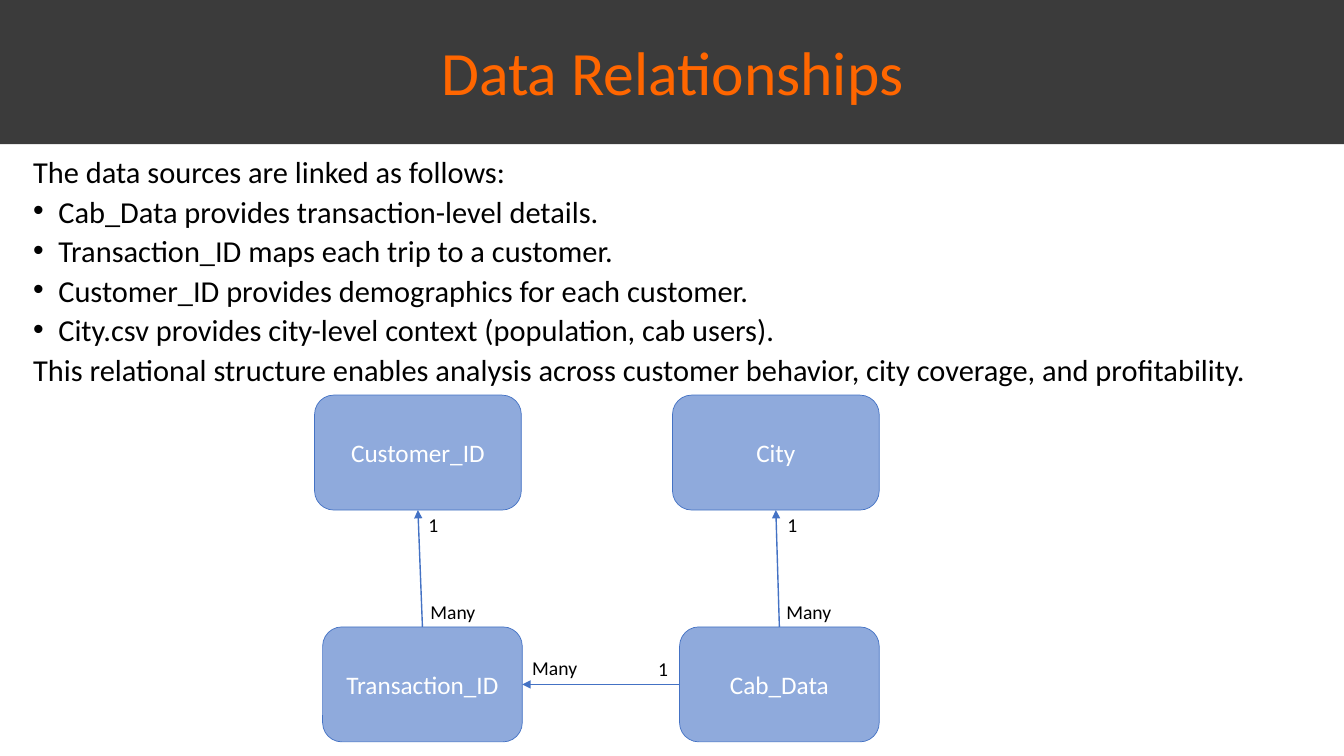
from typing import NamedTuple

from lxml.etree import SubElement
from pptx import Presentation
from pptx.dml.color import RGBColor
from pptx.enum.shapes import MSO_CONNECTOR, MSO_SHAPE
from pptx.enum.text import MSO_ANCHOR, PP_ALIGN
from pptx.oxml.ns import qn
from pptx.util import Inches, Pt

FONT = "Calibri"
COLORS = {
    "banner": "3B3B3B",
    "title": "FF6600",
    "text": "000000",
    "entity": "8FAADC",
    "line": "4472C4",
    "entity_text": "FFFFFF",
}
ENTITY_HEIGHT = 1.14
TOP, LEFT, BOTTOM, RIGHT = range(4)  # connection sites of a box


class Entity(NamedTuple):
    name: str
    left: float
    top: float
    width: float


class Link(NamedTuple):
    source: str
    source_site: int
    target: str
    target_site: int


class Label(NamedTuple):
    text: str
    left: float
    top: float


class BodyLine(NamedTuple):
    text: str
    bulleted: bool = False


ENTITIES = [
    Entity("Customer_ID", 3.12, 3.92, 2.05),
    Entity("City", 6.67, 3.92, 2.05),
    Entity("Transaction_ID", 3.2, 6.22, 1.98),
    Entity("Cab_Data", 6.74, 6.22, 1.98),
]
LINKS = [
    Link("Transaction_ID", TOP, "Customer_ID", BOTTOM),
    Link("Cab_Data", LEFT, "Transaction_ID", RIGHT),
    Link("Cab_Data", TOP, "City", BOTTOM),
]
LABELS = [
    Label("Many", 4.17, 5.9),
    Label("1", 4.15, 5.04),
    Label("Many", 5.18, 6.46),
    Label("1", 6.43, 6.47),
    Label("Many", 7.7, 5.9),
    Label("1", 7.71, 5.04),
]
BODY = [
    BodyLine("The data sources are linked as follows:"),
    BodyLine("Cab_Data provides transaction-level details.", True),
    BodyLine("Transaction_ID maps each trip to a customer.", True),
    BodyLine("Customer_ID provides demographics for each customer.", True),
    BodyLine("City.csv provides city-level context (population, cab users).", True),
    BodyLine("This relational structure enables analysis across customer behavior, "
             "city coverage, and profitability."),
]


def color(name: str) -> RGBColor:
    return RGBColor.from_string(COLORS[name])


def format_para(para, size: float, color_name: str, align=PP_ALIGN.LEFT) -> None:
    para.alignment = align
    for span in para.runs:
        span.font.name = FONT
        span.font.size = Pt(size)
        span.font.color.rgb = color(color_name)


def add_text(page, text: str, left: float, top: float, width: float, height: float,
             size: float, color_name: str, align=PP_ALIGN.LEFT) -> None:
    box = page.shapes.add_textbox(Inches(left), Inches(top), Inches(width), Inches(height))
    box.text_frame.word_wrap = True
    box.text_frame.text = text
    format_para(box.text_frame.paragraphs[0], size, color_name, align)


def add_bullet(para) -> None:
    properties = para._p.get_or_add_pPr()
    properties.set("marL", str(Inches(0.25)))
    properties.set("indent", str(-Inches(0.25)))
    SubElement(properties, qn("a:buFont"), typeface="Arial")
    SubElement(properties, qn("a:buChar"), char="•")


def add_body(page, lines: list[BodyLine]) -> None:
    box = page.shapes.add_textbox(Inches(0.23), Inches(1.57), Inches(12.88), Inches(2.63))
    frame = box.text_frame
    frame.word_wrap = True
    frame.text = "\n".join(line.text for line in lines)
    for index, (para, line) in enumerate(zip(frame.paragraphs, lines)):
        format_para(para, 21.7, "text")
        para.line_spacing = 0.7
        para.space_before = Pt(10 if index else 0)
        if line.bulleted:
            add_bullet(para)


def add_entity(page, entity: Entity):
    box = page.shapes.add_shape(
        MSO_SHAPE.ROUNDED_RECTANGLE, Inches(entity.left), Inches(entity.top),
        Inches(entity.width), Inches(ENTITY_HEIGHT))
    box.shadow.inherit = False
    box.fill.solid()
    box.fill.fore_color.rgb = color("entity")
    box.line.color.rgb = color("line")
    box.line.width = Pt(0.5)
    box.text_frame.text = entity.name
    box.text_frame.vertical_anchor = MSO_ANCHOR.MIDDLE
    format_para(box.text_frame.paragraphs[0], 18, "entity_text", PP_ALIGN.CENTER)
    return box


def add_link(page, link: Link, boxes: dict) -> None:
    arrow = page.shapes.add_connector(MSO_CONNECTOR.STRAIGHT, 0, 0, 0, 0)
    arrow.begin_connect(boxes[link.source], link.source_site)
    arrow.end_connect(boxes[link.target], link.target_site)
    arrow.line.color.rgb = color("line")
    arrow.line.width = Pt(1)
    SubElement(arrow.line._get_or_add_ln(), qn("a:tailEnd"), type="triangle")
    SubElement(arrow._element.spPr, qn("a:effectLst"))


def main() -> None:
    deck = Presentation()
    deck.slide_width, deck.slide_height = Inches(13.33), Inches(7.5)
    page = deck.slides.add_slide(deck.slide_layouts[6])

    # Title banner
    banner = page.shapes.add_shape(MSO_SHAPE.RECTANGLE, 0, 0, deck.slide_width, Inches(1.43))
    banner.shadow.inherit = False
    banner.fill.solid()
    banner.fill.fore_color.rgb = color("banner")
    banner.line.fill.background()
    add_text(page, "Data Relationships", 4.13, 0.29, 5.08, 0.84, 44, "title", PP_ALIGN.CENTER)

    # Explanation
    add_body(page, BODY)

    # Relationship diagram
    boxes = {entity.name: add_entity(page, entity) for entity in ENTITIES}
    for link in LINKS:
        add_link(page, link, boxes)
    for label in LABELS:
        add_text(page, label.text, label.left, label.top, 1.09, 0.34, 14, "text")

    deck.save("out.pptx")


if __name__ == "__main__":
    main()
